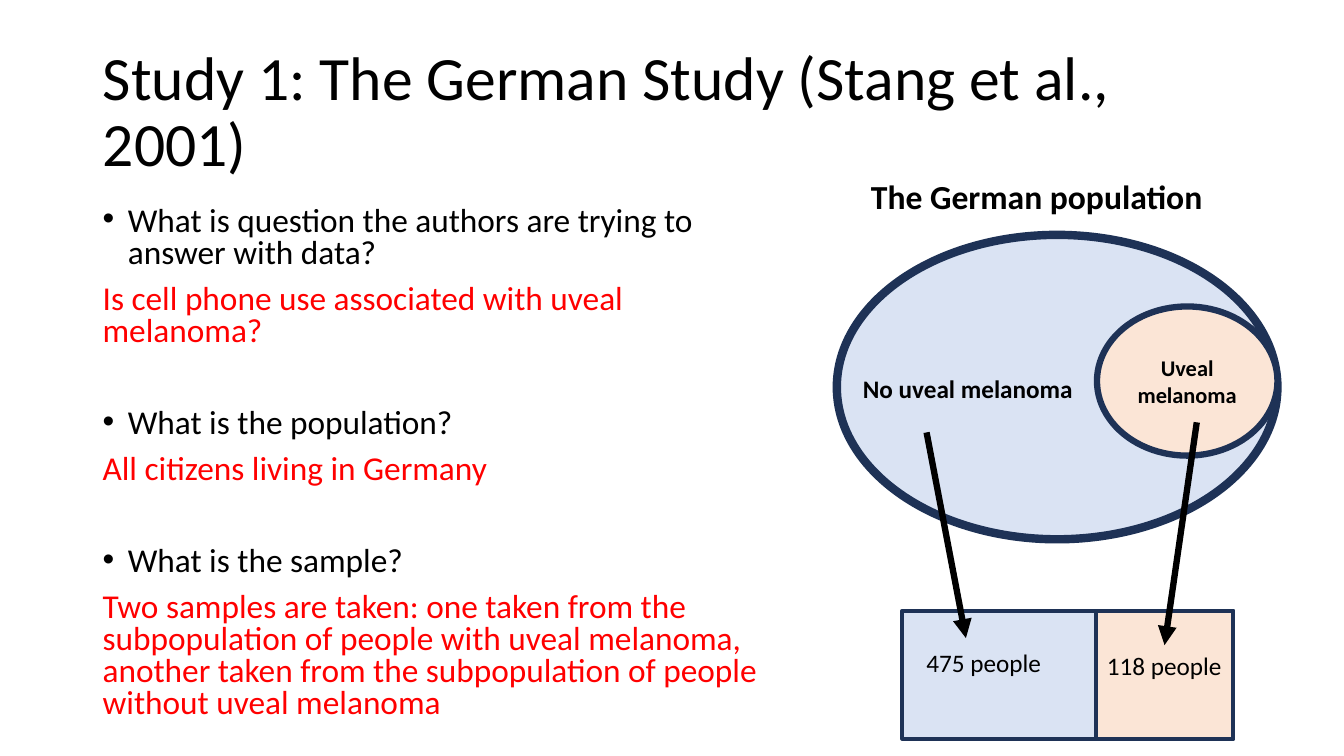
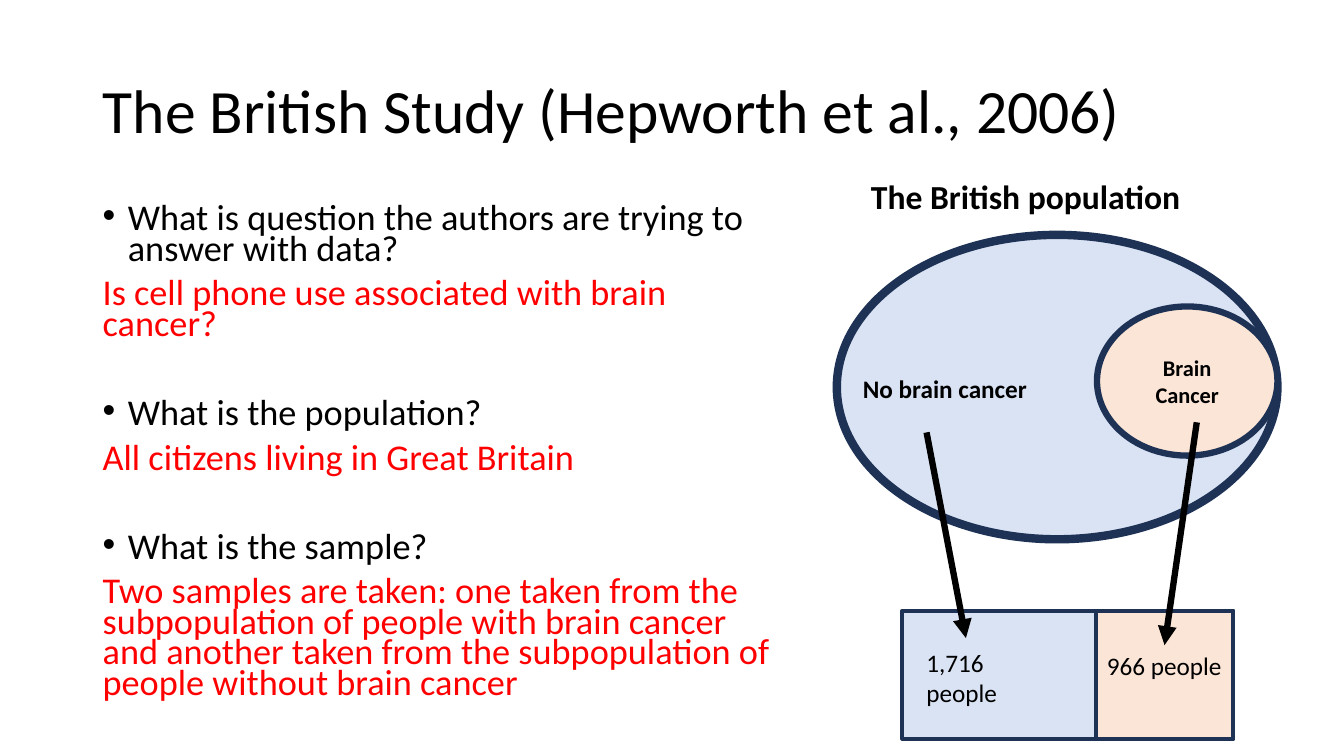
from dataclasses import dataclass

from lxml import etree
from pptx import Presentation
from pptx.dml.color import RGBColor
from pptx.enum.shapes import MSO_CONNECTOR, MSO_SHAPE
from pptx.enum.text import MSO_ANCHOR, MSO_AUTO_SIZE, PP_ALIGN
from pptx.oxml.ns import qn
from pptx.util import Emu, Pt

STRAIGHT = MSO_CONNECTOR.STRAIGHT
OVAL, RECTANGLE = MSO_SHAPE.OVAL, MSO_SHAPE.RECTANGLE
MIDDLE, TOP = MSO_ANCHOR.MIDDLE, MSO_ANCHOR.TOP
LEFT, CENTER = PP_ALIGN.LEFT, PP_ALIGN.CENTER
NO_AUTOFIT, GROW = MSO_AUTO_SIZE.NONE, MSO_AUTO_SIZE.SHAPE_TO_FIT_TEXT
EMU_PER_PX = 9144  # 100 px to the inch
TITLE_ONLY_LAYOUT = 5


@dataclass(frozen=True)
class Theme:
    font: str = "Calibri"
    bullet_font: str = "Arial"
    ink: str = "000000"
    answer: str = "FF0000"
    outline: str = "1E3256"
    without_disease: str = "DAE3F3"
    with_disease: str = "FBE5D6"
    title_size: float = 44
    heading_size: float = 24
    label_size: float = 18
    oval_label_size: float = 16
    paragraph_gap: float = 10


THEME = Theme()


@dataclass(frozen=True)
class Box:
    left: int
    top: int
    width: int
    height: int


@dataclass(frozen=True)
class Region:
    preset: int
    box: Box
    fill: str
    line_width: float


@dataclass(frozen=True)
class Arrow:
    start: tuple[int, int]
    end: tuple[int, int]


@dataclass(frozen=True)
class QuestionAnswer:
    question: str
    answer: str


@dataclass(frozen=True)
class Study:
    title: str
    items: list[QuestionAnswer]
    body_size: float
    line_spacing: float
    question_gap: float
    population: str
    without_label: str
    with_label: str
    without_count: str
    with_count: str


TITLE_BOX = Box(92, 40, 1150, 145)
BODY_BOX = Box(92, 200, 690, 533)
POPULATION = Region(OVAL, Box(830, 233, 437, 302), THEME.without_disease, 6)
PATIENTS = Region(OVAL, Box(1088, 304, 179, 148), THEME.with_disease, 4.5)
SAMPLES = [
    Region(RECTANGLE, Box(895, 606, 328, 127), THEME.without_disease, 3),
    Region(RECTANGLE, Box(1087, 606, 136, 127), THEME.with_disease, 3),
]
ARROWS = [Arrow((1187, 419), (1155, 640)), Arrow((919, 429), (958, 633))]
HEADING_BOX = Box(854, 170, 360, 50)
WITHOUT_LABEL_BOX = Box(846, 365, 230, 40)
WITHOUT_COUNT_BOX = Box(909, 637, 135, 40)
WITH_COUNT_BOX = Box(1088, 640, 135, 40)

QUESTIONS = [
    "What is question the authors are trying to answer with data?",
    "What is the population?",
    "What is the sample?",
]


def with_answers(*answers: str) -> list[QuestionAnswer]:
    return [QuestionAnswer(*pair) for pair in zip(QUESTIONS, answers)]


STUDIES = [
    Study(
        title="Study 1: The German Study (Stang et al., 2001)",
        items=with_answers(
            "Is cell phone use associated with uveal melanoma?",
            "All citizens living in Germany",
            "Two samples are taken: one taken from the subpopulation of people "
            "with uveal melanoma, another taken from the subpopulation of people "
            "without uveal melanoma",
        ),
        body_size=23.8,
        line_spacing=0.8,
        question_gap=43,
        population="The German population",
        without_label="No uveal melanoma",
        with_label="Uveal melanoma",
        without_count="475 people",
        with_count="118 people",
    ),
    Study(
        title="The British Study (Hepworth et al., 2006)",
        items=with_answers(
            "Is cell phone use associated with brain cancer?",
            "All citizens living in Great Britain",
            "Two samples are taken: one taken from the subpopulation of people "
            "with brain cancer and another taken from the subpopulation of people "
            "without brain cancer",
        ),
        body_size=25.9,
        line_spacing=0.7,
        question_gap=42,
        population="The British population",
        without_label="No brain cancer",
        with_label="Brain Cancer",
        without_count="1,716 people",
        with_count="966 people",
    ),
]


def px(length: int) -> Emu:
    return Emu(length * EMU_PER_PX)


def place(box: Box) -> tuple[Emu, Emu, Emu, Emu]:
    return px(box.left), px(box.top), px(box.width), px(box.height)


def add_run(paragraph, text: str, size: float, color: str = THEME.ink, bold: bool = False) -> None:
    run = paragraph.add_run()
    run.text = text
    run.font.name = THEME.font
    run.font.size = Pt(size)
    run.font.bold = bold
    run.font.color.rgb = RGBColor.from_string(color)


def add_bullet(paragraph) -> None:
    properties = paragraph._p.get_or_add_pPr()
    properties.set("marL", str(px(25)))
    properties.set("indent", str(px(-25)))
    etree.SubElement(properties, qn("a:buFont")).set("typeface", THEME.bullet_font)
    etree.SubElement(properties, qn("a:buChar")).set("char", "•")


def set_title(slide, text: str) -> None:
    title = slide.shapes.title
    title.left, title.top, title.width, title.height = place(TITLE_BOX)
    frame = title.text_frame
    frame.auto_size = NO_AUTOFIT
    frame.vertical_anchor = MIDDLE
    paragraph = frame.paragraphs[0]
    paragraph.alignment = LEFT
    paragraph.line_spacing = 0.9
    add_run(paragraph, text, THEME.title_size)


def add_questions(slide, study: Study) -> None:
    """Bulleted questions, each followed by its answer in the answer colour."""
    frame = slide.shapes.add_textbox(*place(BODY_BOX)).text_frame
    frame.word_wrap = True
    frame.vertical_anchor = TOP
    for index, item in enumerate(study.items):
        question = frame.add_paragraph() if index else frame.paragraphs[0]
        add_bullet(question)
        question.line_spacing = study.line_spacing
        if index:
            question.space_before = Pt(study.question_gap)
        add_run(question, item.question, study.body_size)

        answer = frame.add_paragraph()
        answer.line_spacing = study.line_spacing
        answer.space_before = Pt(THEME.paragraph_gap)
        add_run(answer, item.answer, study.body_size, THEME.answer)


def add_region(shapes, region: Region, label: str = "") -> None:
    shape = shapes.add_shape(region.preset, *place(region.box))
    shape.shadow.inherit = False
    shape.fill.solid()
    shape.fill.fore_color.rgb = RGBColor.from_string(region.fill)
    shape.line.color.rgb = RGBColor.from_string(THEME.outline)
    shape.line.width = Pt(region.line_width)
    if label:
        frame = shape.text_frame
        frame.word_wrap = True
        frame.vertical_anchor = MIDDLE
        paragraph = frame.paragraphs[0]
        paragraph.alignment = CENTER
        add_run(paragraph, label, THEME.oval_label_size, bold=True)


def add_label(shapes, box: Box, text: str, size: float = THEME.label_size, bold: bool = False) -> None:
    frame = shapes.add_textbox(*place(box)).text_frame
    frame.word_wrap = False
    frame.auto_size = GROW
    paragraph = frame.paragraphs[0]
    paragraph.alignment = LEFT
    add_run(paragraph, text, size, bold=bold)


def add_arrow(shapes, arrow: Arrow) -> None:
    ends = [px(value) for value in (*arrow.start, *arrow.end)]
    connector = shapes.add_connector(STRAIGHT, *ends)
    connector.line.color.rgb = RGBColor.from_string(THEME.ink)
    connector.line.width = Pt(4.5)
    line = connector.line._get_or_add_ln()
    etree.SubElement(line, qn("a:tailEnd")).set("type", "triangle")
    etree.SubElement(connector._element.spPr, qn("a:effectLst"))


def add_population_diagram(slide, study: Study) -> None:
    """Population ovals with arrows down to the two samples."""
    shapes = slide.shapes
    add_region(shapes, POPULATION)
    add_region(shapes, PATIENTS, study.with_label)
    add_label(shapes, HEADING_BOX, study.population, THEME.heading_size, bold=True)
    add_label(shapes, WITHOUT_LABEL_BOX, study.without_label, bold=True)

    sampling = shapes.add_group_shape().shapes
    for sample in SAMPLES:
        add_region(sampling, sample)
    for arrow in ARROWS:
        add_arrow(sampling, arrow)
    add_label(sampling, WITHOUT_COUNT_BOX, study.without_count)
    add_label(sampling, WITH_COUNT_BOX, study.with_count)


def main() -> None:
    presentation = Presentation()
    presentation.slide_width, presentation.slide_height = px(1333), px(750)
    for study in STUDIES:
        slide = presentation.slides.add_slide(presentation.slide_layouts[TITLE_ONLY_LAYOUT])
        set_title(slide, study.title)
        add_questions(slide, study)
        add_population_diagram(slide, study)
    presentation.save("out.pptx")


if __name__ == "__main__":
    main()
